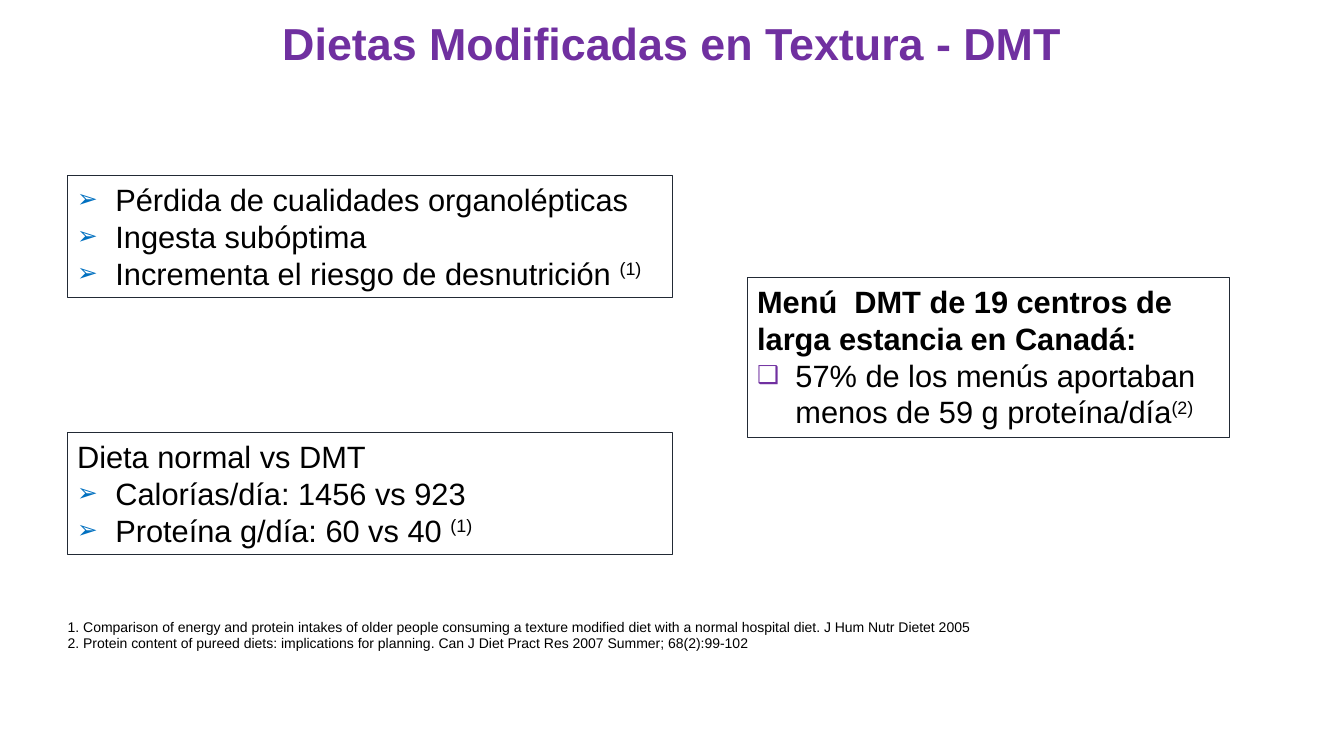
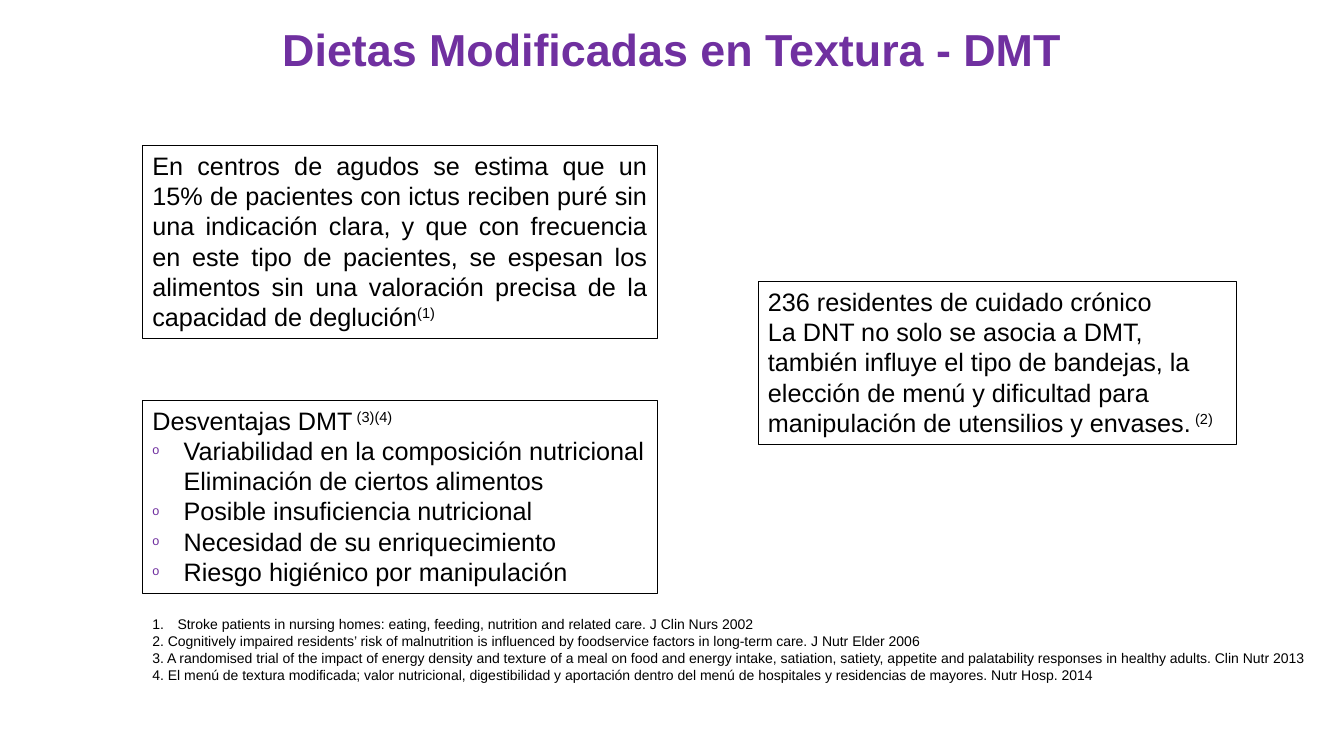
from dataclasses import dataclass
from typing import Optional

from lxml import etree
from pptx import Presentation
from pptx.dml.color import RGBColor
from pptx.enum.text import MSO_ANCHOR, MSO_AUTO_SIZE, PP_ALIGN
from pptx.oxml.ns import qn
from pptx.util import Inches, Pt

BLACK = RGBColor(0x00, 0x00, 0x00)
NAVY = RGBColor(0x22, 0x2A, 0x35)
BLUE = RGBColor(0x00, 0x70, 0xC0)
PURPLE = RGBColor(0x70, 0x30, 0xA0)
LEFT, CENTER, JUSTIFY = PP_ALIGN.LEFT, PP_ALIGN.CENTER, PP_ALIGN.JUSTIFY
MIDDLE = MSO_ANCHOR.MIDDLE
FIXED_SIZE, GROW = MSO_AUTO_SIZE.NONE, MSO_AUTO_SIZE.SHAPE_TO_FIT_TEXT
FONT = "Arial"
TITLE_ONLY = 5
TITLE = "Dietas Modificadas en Textura - DMT"


@dataclass(frozen=True)
class Marker:
    """Bullet character, or an automatic number when numbering is given."""
    indent: float
    character: str = ""
    color: RGBColor = BLACK
    percent: int = 100
    numbering: str = ""
    start: int = 1


@dataclass(frozen=True)
class Line:
    """One paragraph, with an optional superscript reference at its end."""
    text: str
    reference: str = ""
    marker: Optional[Marker] = None
    bold: bool = False
    align: PP_ALIGN = LEFT


ARROW = Marker(0.38, "➢", BLUE, 80)
SQUARE = Marker(0.38, "❑", PURPLE, 80)
CIRCLE = Marker(0.31, "o", PURPLE, 50)
SOURCE_NUMBER = Marker(0.25, numbering="arabicPeriod")
RESIDENT_COUNT = Marker(0.38, numbering="arabicPlain", start=236)


class Deck:
    """Holds the shared style and the current slide; lengths are percentages of the slide."""

    def __init__(self):
        self.presentation = Presentation()
        self.presentation.slide_width = Inches(13.33)
        self.presentation.slide_height = Inches(7.5)
        self.slide = None

    def across(self, percent):
        return round(self.presentation.slide_width * percent / 100)

    def down(self, percent):
        return round(self.presentation.slide_height * percent / 100)

    def place(self, shape, left, top, width, height):
        shape.left, shape.top = self.across(left), self.down(top)
        shape.width, shape.height = self.across(width), self.down(height)

    def style(self, paragraph, size, color=BLACK, bold=False):
        font = paragraph.font
        font.name, font.size, font.bold = FONT, Pt(size), bold
        font.color.rgb = color

    def mark(self, paragraph, marker):
        properties = paragraph._p.get_or_add_pPr()
        indent = Inches(marker.indent)
        properties.set("marL", str(indent))
        properties.set("indent", str(-indent))

        def add(parent, tag, **attributes):
            return etree.SubElement(parent, qn(tag), attributes)

        add(add(properties, "a:buClr"), "a:srgbClr", val=str(marker.color))
        add(properties, "a:buSzPct", val=str(marker.percent * 1000))
        add(properties, "a:buFont", typeface=FONT)
        if marker.numbering:
            add(properties, "a:buAutoNum", type=marker.numbering, startAt=str(marker.start))
        else:
            add(properties, "a:buChar", char=marker.character)

    def add_slide(self, title_height):
        layout = self.presentation.slide_layouts[TITLE_ONLY]
        self.slide = self.presentation.slides.add_slide(layout)
        title = self.slide.shapes.title
        self.place(title, 0, 0.3, 100, title_height)
        frame = title.text_frame
        frame.text = TITLE
        frame.auto_size, frame.vertical_anchor = FIXED_SIZE, MIDDLE
        paragraph = frame.paragraphs[0]
        paragraph.alignment, paragraph.line_spacing = CENTER, 0.9
        self.style(paragraph, 32, PURPLE, bold=True)

    def text(self, left, top, width, height, lines, size):
        box = self.slide.shapes.add_textbox(0, 0, 0, 0)
        self.place(box, left, top, width, height)
        frame = box.text_frame
        frame.word_wrap, frame.auto_size = True, GROW
        for index, line in enumerate(lines):
            paragraph = frame.add_paragraph() if index else frame.paragraphs[0]
            paragraph.alignment = line.align
            if line.marker:
                self.mark(paragraph, line.marker)
            self.style(paragraph, size, bold=line.bold)
            paragraph.add_run().text = line.text
            if line.reference:
                run = paragraph.add_run()
                run.text = line.reference
                run._r.get_or_add_rPr().set("baseline", "30000")
        return box

    def framed(self, left, top, width, height, lines, size, color=BLACK):
        box = self.text(left, top, width, height, lines, size)
        box.line.color.rgb = color
        box.line.width = Pt(0.25)

    def sources(self, left, top, width, height, lines):
        self.text(left, top, width, height, lines, 10)


def build_intake_slide(deck):
    deck.add_slide(11.7)
    deck.sources(4.3, 81.1, 95.7, 5.9, [
        Line("1. Comparison of energy and protein intakes of older people consuming a texture "
             "modified diet with a normal hospital diet. J Hum Nutr Dietet 2005"),
        Line("2. Protein content of pureed diets: implications for planning. "
             "Can J Diet Pract Res 2007 Summer; 68(2):99-102"),
    ])
    deck.framed(5, 23.2, 45, 16.1, [
        Line("Pérdida de cualidades organolépticas", marker=ARROW),
        Line("Ingesta subóptima", marker=ARROW),
        Line("Incrementa el riesgo de desnutrición ", "(1)", ARROW),
    ], 22, NAVY)
    deck.framed(55.6, 36.7, 35.85, 21.1, [
        Line("Menú  DMT de 19 centros de larga estancia en Canadá:", bold=True),
        Line("57% de los menús aportaban menos de 59 g proteína/día", "(2)", SQUARE),
    ], 22, NAVY)
    deck.framed(5, 57.2, 45, 16.1, [
        Line("Dieta normal vs DMT"),
        Line("Calorías/día: 1456 vs 923", marker=ARROW),
        Line("Proteína g/día: 60 vs 40 ", "(1)", ARROW),
    ], 22, NAVY)


def build_drawbacks_slide(deck):
    deck.add_slide(13.2)
    deck.framed(10.6, 19.2, 38.3, 25.6, [
        Line("En centros de agudos se estima que un 15% de pacientes con ictus reciben puré sin "
             "una indicación clara, y que con frecuencia en este tipo de pacientes, se espesan "
             "los alimentos sin una valoración precisa de la capacidad de deglución",
             "(1)", align=JUSTIFY),
    ], 18)
    deck.sources(10.6, 80.8, 88.6, 10.3, [
        Line("Stroke patients in nursing homes: eating, feeding, nutrition and related care. "
             "J Clin Nurs 2002", marker=SOURCE_NUMBER),
        Line("2. Cognitively impaired residents’ risk of malnutrition is influenced by "
             "foodservice factors in long-term care. J Nutr Elder 2006"),
        Line("3. A randomised trial of the impact of energy density and texture of a meal on "
             "food and energy intake, satiation, satiety, appetite and palatability responses "
             "in healthy adults. Clin Nutr 2013"),
        Line("4. El menú de textura modificada; valor nutricional, digestibilidad y aportación "
             "dentro del menú de hospitales y residencias de mayores. Nutr Hosp. 2014"),
    ])
    deck.framed(56.4, 37.2, 35.6, 21.6, [
        Line(" residentes de cuidado crónico", marker=RESIDENT_COUNT),
        Line("La DNT no solo se asocia a DMT, también influye el tipo de bandejas, la elección "
             "de menú y dificultad para manipulación de utensilios y envases.", " (2)"),
    ], 18)
    deck.framed(10.6, 52.9, 38.3, 25.6, [
        Line("Desventajas DMT", " (3)(4)"),
        Line("Variabilidad en la composición nutricional Eliminación de ciertos alimentos",
             marker=CIRCLE),
        Line("Posible insuficiencia nutricional", marker=CIRCLE),
        Line("Necesidad de su enriquecimiento", marker=CIRCLE),
        Line("Riesgo higiénico por manipulación", marker=CIRCLE),
    ], 18)


def main():
    deck = Deck()
    build_intake_slide(deck)
    build_drawbacks_slide(deck)
    deck.presentation.save("out.pptx")


if __name__ == "__main__":
    main()
